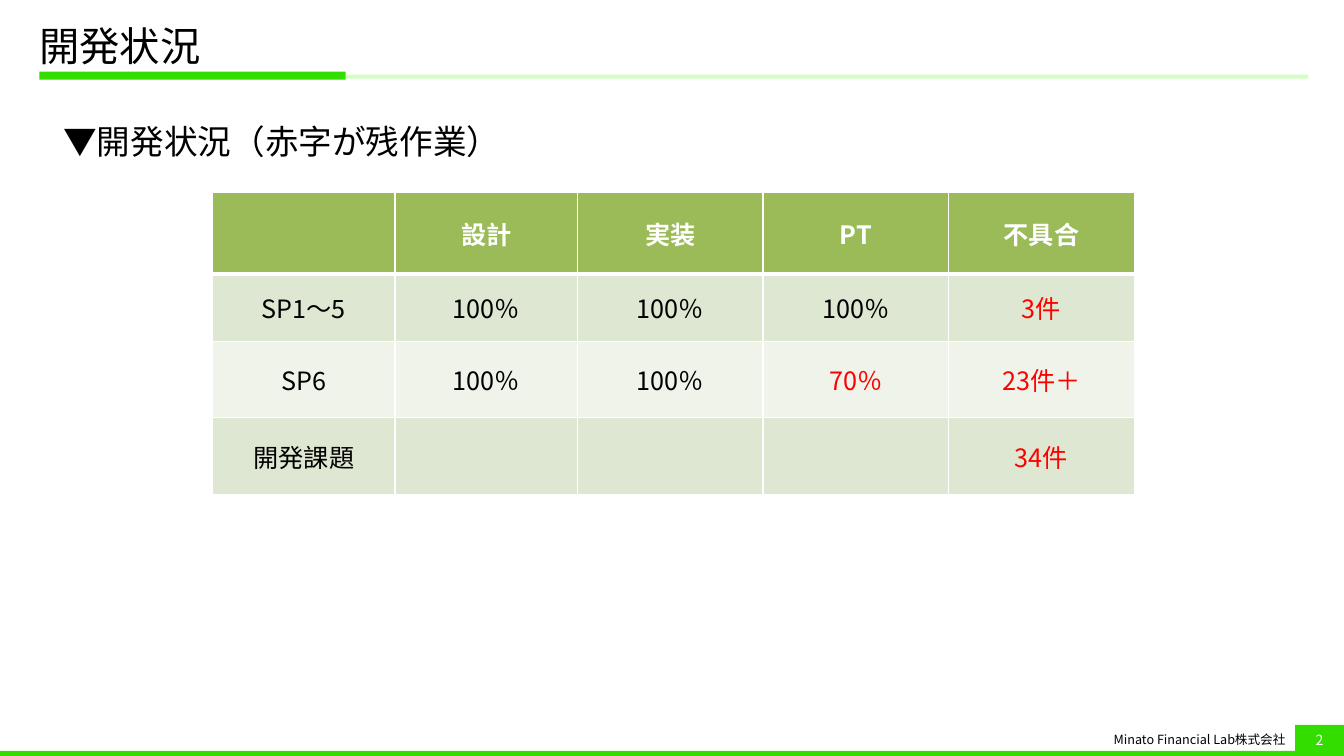
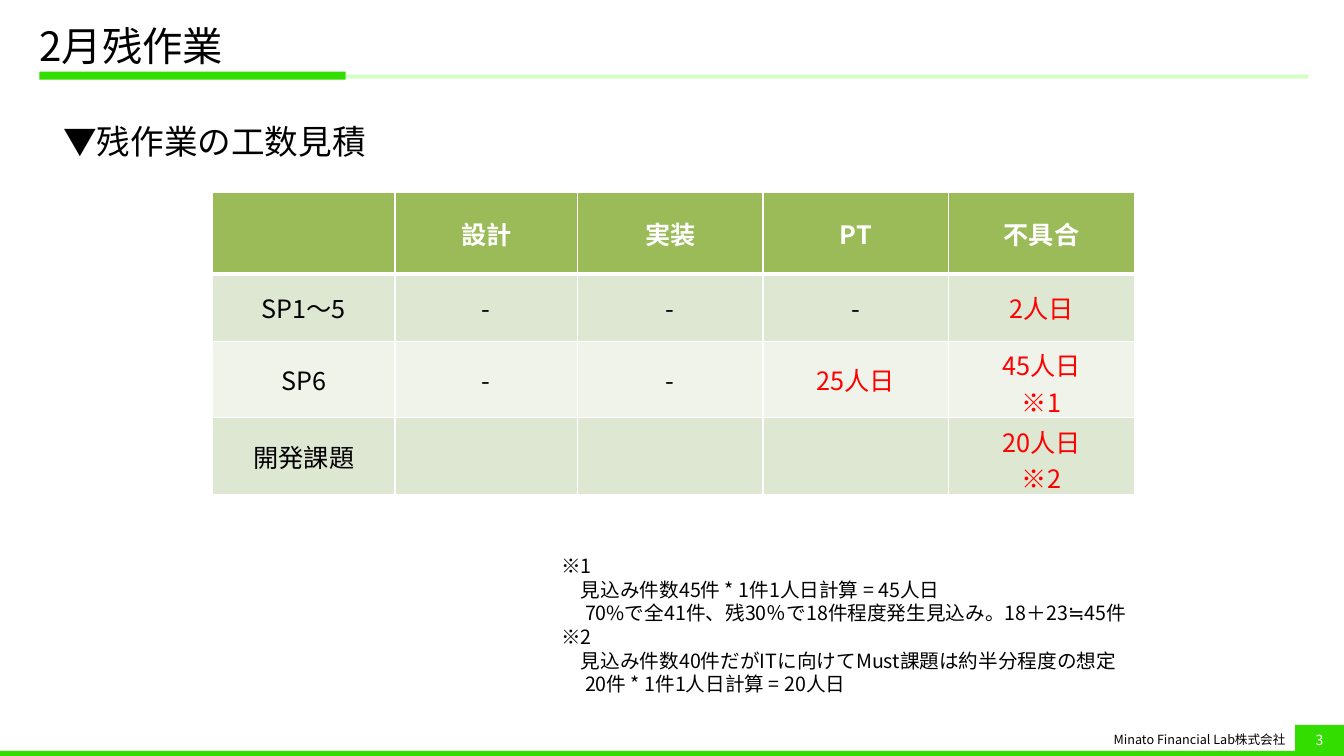
from dataclasses import dataclass
from typing import NamedTuple

from lxml import etree
from pptx import Presentation
from pptx.dml.color import RGBColor
from pptx.enum.shapes import MSO_SHAPE
from pptx.enum.text import MSO_ANCHOR, PP_ALIGN
from pptx.oxml.ns import qn
from pptx.shapes.autoshape import Shape
from pptx.slide import Slide
from pptx.table import _Cell as Cell
from pptx.text.text import TextFrame
from pptx.util import Pt

RECT = MSO_SHAPE.RECTANGLE
LEFT, MID, RIGHT = PP_ALIGN.LEFT, PP_ALIGN.CENTER, PP_ALIGN.RIGHT
TOP, CENTER = MSO_ANCHOR.TOP, MSO_ANCHOR.MIDDLE


class Style(NamedTuple):
    """Look of one kind of text."""
    size: float
    color: str = "000000"
    align: PP_ALIGN = LEFT
    bold: bool = False


class Box(NamedTuple):
    """Place and size in points."""
    left: float
    top: float
    width: float
    height: float


class Bar(NamedTuple):
    """Filled band shown on every slide."""
    box: Box
    color: str


class Note(NamedTuple):
    """Line of the notes with its first-line indent."""
    text: str
    indent: float = 0


@dataclass(frozen=True)
class Theme:
    """Colours, font and type styles of the deck."""
    font: str = "Noto Sans CJK JP"
    green: str = "33DD00"
    pale: str = "D3FFC5"
    white: str = "FFFFFF"
    head_fill: str = "9BBB59"
    bands: tuple[str, str] = ("DEE7D1", "EFF3EA")
    title: Style = Style(28.8)
    lead: Style = Style(24)
    head: Style = Style(18, "FFFFFF", MID, True)
    body: Style = Style(18, align=MID)
    open: Style = Style(18, "FF0000", MID)
    note: Style = Style(14)
    firm: Style = Style(9, align=RIGHT)
    page: Style = Style(10, "FFFFFF", MID)


@dataclass(frozen=True)
class Page:
    """Content of one slide."""
    number: int
    title: str
    lead: str
    width: float
    rows: tuple[tuple[str, ...], ...]
    notes: tuple[Note, ...] = ()


THEME = Theme()
FIRM = "Minato Financial Lab株式会社"
BARS = (
    Bar(Box(28.1, 51.1, 218.9, 5.8), THEME.green),
    Bar(Box(247, 53.3, 687.6, 2.9), THEME.pale),
    Bar(Box(0, 536.4, 960, 3.6), THEME.green),
)
TITLE_BOX = Box(28.1, 14.4, 906.5, 40.3)
FIRM_BOX = Box(781.9, 518.4, 143.3, 19.4)
PAGE_BOX = Box(925.2, 517.7, 34.8, 22.3)
NOTE_BOX = Box(393.8, 392.4, 432.7, 108.7)
GRID_LEFT, GRID_TOP = 151.9, 137.5
COLS = (130.3, 130.3, 132.6, 132.6, 132.6)
ROWS = (58.3, 48.2, 54.5, 54.5)
HEADS = ("", "設計", "実装", "PT", "不具合")
DONE = ("", "-", "100％")
THIN, THICK = 1, 3

PAGES = (
    Page(2, "開発状況", "▼開発状況（赤字が残作業）", 329.8, (
        ("SP1〜5", "100％", "100％", "100％", "3件"),
        ("SP6", "100％", "100％", "70％", "23件＋"),
        ("開発課題", "", "", "", "34件"),
    )),
    Page(3, "2月残作業", "▼残作業の工数見積", 232.6, (
        ("SP1〜5", "-", "-", "-", "2人日"),
        ("SP6", "-", "-", "25人日", "45人日\n※1"),
        ("開発課題", "", "", "", "20人日\n※2"),
    ), (
        Note("※1"),
        Note("見込み件数45件 * 1件1人日計算 = 45人日", 14),
        Note("70%で全41件、残30％で18件程度発生見込み。18＋23≒45件", 17),
        Note("※2"),
        Note("見込み件数40件だがITに向けてMust課題は約半分程度の想定", 14),
        Note("20件 * 1件1人日計算 = 20人日", 17),
    )),
)


def write(frame: TextFrame, text: str, style: Style) -> None:
    """Fill a frame with text, one paragraph a line, in one style."""
    frame.text = text
    for para in frame.paragraphs:
        para.alignment = style.align
        font = para.font
        font.name, font.size, font.bold = THEME.font, Pt(style.size), style.bold
        font.color.rgb = RGBColor.from_string(style.color)
        base = para._p.pPr.find(qn("a:defRPr"))
        etree.SubElement(base, qn("a:ea"), typeface=THEME.font)


def add_text(slide: Slide, box: Box, text: str, style: Style,
             anchor: MSO_ANCHOR = CENTER, wrap: bool = True) -> TextFrame:
    """Add a text box and return its frame."""
    frame = slide.shapes.add_textbox(*map(Pt, box)).text_frame
    frame.word_wrap = wrap
    frame.vertical_anchor = anchor
    write(frame, text, style)
    return frame


def add_bar(slide: Slide, bar: Bar) -> Shape:
    """Add a flat filled band."""
    shape = slide.shapes.add_shape(RECT, *map(Pt, bar.box))
    shape.shadow.inherit = False
    shape.fill.solid()
    shape.fill.fore_color.rgb = RGBColor.from_string(bar.color)
    shape.line.fill.background()
    return shape


def add_frame(slide: Slide, page: Page) -> None:
    """Draw the bands, title, firm name and page number."""
    for bar in BARS:
        add_bar(slide, bar)
    title = add_text(slide, TITLE_BOX, page.title, THEME.title)
    title.margin_left, title.margin_right = Pt(0), Pt(11.5)
    title.paragraphs[0].line_spacing = 0.9
    add_text(slide, FIRM_BOX, FIRM, THEME.firm)
    tab = add_bar(slide, Bar(PAGE_BOX, THEME.green))
    tab.text_frame.vertical_anchor = CENTER
    write(tab.text_frame, str(page.number), THEME.page)


def add_edges(cell: Cell, top: float, base: float) -> None:
    """Draw the white borders of a cell, before its fill is set."""
    props = cell._tc.get_or_add_tcPr()
    for side, width in (("L", THIN), ("R", THIN), ("T", top), ("B", base)):
        line = etree.SubElement(props, qn(f"a:ln{side}"), w=str(Pt(width)))
        paint = etree.SubElement(line, qn("a:solidFill"))
        etree.SubElement(paint, qn("a:srgbClr"), val=THEME.white)


def pick_style(row: int, col: int, text: str) -> Style:
    """Choose the header, plain or open-work style."""
    if row == 0:
        return THEME.head
    return THEME.open if col and text not in DONE else THEME.body


def add_grid(slide: Slide, rows: tuple[tuple[str, ...], ...]) -> None:
    """Add the status table under its header row."""
    box = Box(GRID_LEFT, GRID_TOP, sum(COLS), sum(ROWS))
    grid = slide.shapes.add_table(len(ROWS), len(COLS), *map(Pt, box)).table
    grid.horz_banding = False
    for col, width in zip(grid.columns, COLS):
        col.width = Pt(width)
    for row, height in zip(grid.rows, ROWS):
        row.height = Pt(height)
    for r, texts in enumerate((HEADS, *rows)):
        for c, text in enumerate(texts):
            cell = grid.cell(r, c)
            add_edges(cell, THICK if r == 1 else THIN, THICK if r == 0 else THIN)
            color = THEME.bands[(r - 1) % 2] if r else THEME.head_fill
            cell.fill.solid()
            cell.fill.fore_color.rgb = RGBColor.from_string(color)
            cell.vertical_anchor = CENTER
            write(cell.text_frame, text, pick_style(r, c, text))


def add_notes(slide: Slide, notes: tuple[Note, ...]) -> None:
    """Add the notes with first-line indents."""
    text = "\n".join(note.text for note in notes)
    frame = add_text(slide, NOTE_BOX, text, THEME.note, TOP)
    for para, note in zip(frame.paragraphs, notes):
        para._p.pPr.set("indent", str(Pt(note.indent)))


def main() -> None:
    """Build and save the deck."""
    deck = Presentation()
    deck.slide_width, deck.slide_height = Pt(960), Pt(540)
    for page in PAGES:
        slide = deck.slides.add_slide(deck.slide_layouts[6])
        add_frame(slide, page)
        add_grid(slide, page.rows)
        lead = Box(38.2, 82.8, page.width, 36)
        add_text(slide, lead, page.lead, THEME.lead, TOP, wrap=False)
        if page.notes:
            add_notes(slide, page.notes)
    deck.save("out.pptx")


main()
